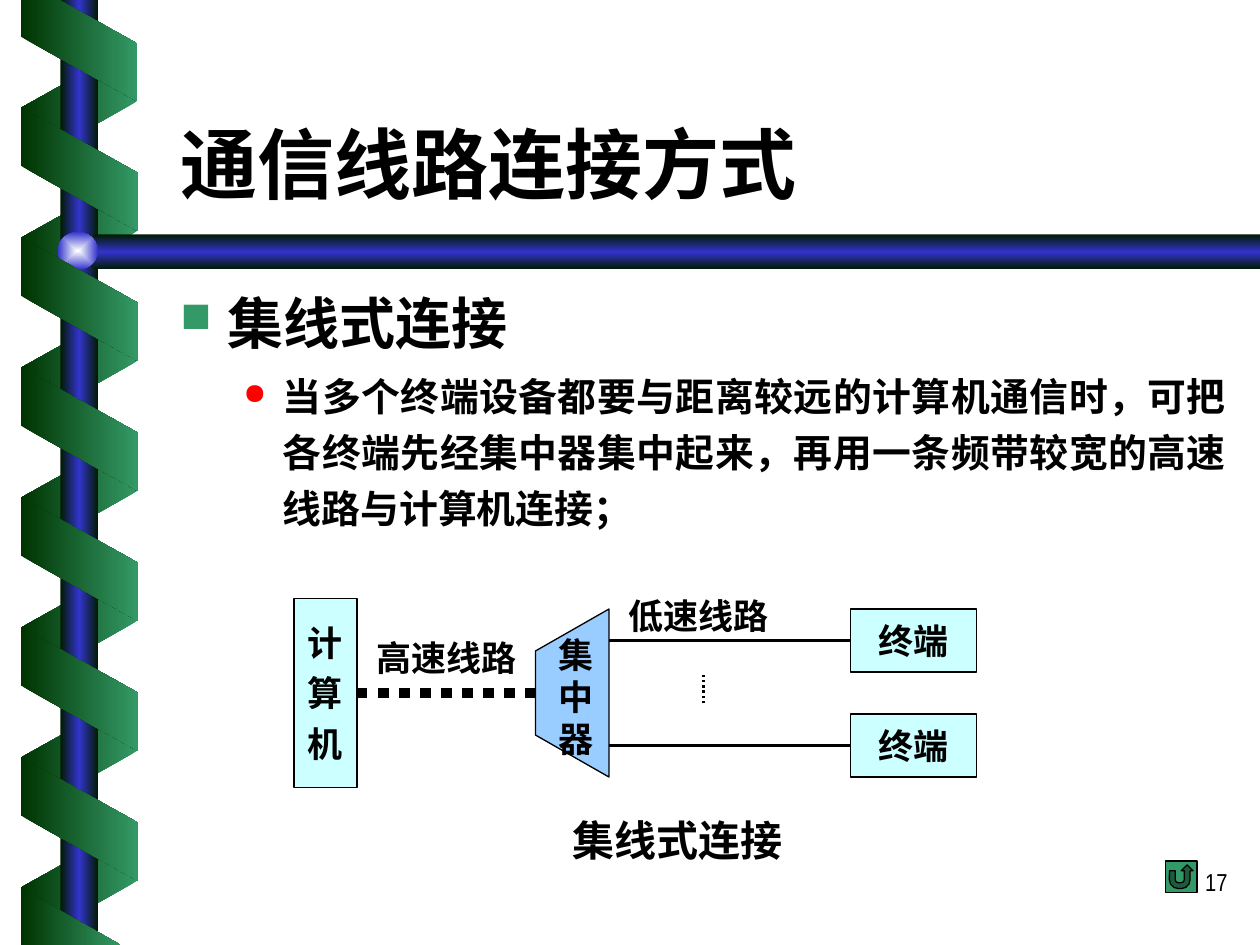
"""Build the slide on concentrated line connections."""
from pptx import Presentation
from pptx import util as u
from pptx.dml.color import RGBColor
from pptx.enum import dml, shapes, text
from pptx.oxml import parse_xml
from pptx.oxml.ns import nsdecls, qn

Pt = u.Pt
COLORS = {
    "text": "000000", "leaf": "339966", "forest": "003300", "night": "001A00",
    "blue": "3333CC", "shine": "FEFFFF", "device": "CCFFFF", "hub": "99CCFF",
    "dot": "FF0000",
}
ACROSS, DOWN = '<a:lin ang="0"/>', '<a:lin ang="5400000"/>'
CENTER = '<a:path path="rect"><a:fillToRect l="50000" t="50000" r="50000" b="50000"/></a:path>'
TUBE = ("night", "blue", "night")
RIBBON = ("forest", "leaf")
RIBBON_PITCH = 74.25
CENTERED = {"alignment": text.PP_ALIGN.CENTER}


def rgb(name):
    """Return the named colour."""
    return RGBColor.from_string(COLORS[name])


def finish(shape, fill, direction=None):
    """Fill plainly with an outline, or with an evenly spaced gradient and none."""
    shape.shadow.inherit = False
    if direction is None:
        shape.fill.solid()
        shape.fill.fore_color.rgb = rgb(fill)
        shape.line.color.rgb = rgb("text")
        shape.line.width = Pt(0.75)
        return shape
    step = 100000 // (len(fill) - 1)
    stops = "".join(
        f'<a:gs pos="{i * step}"><a:srgbClr val="{COLORS[name]}"/></a:gs>'
        for i, name in enumerate(fill))
    shape._element.spPr.insert(2, parse_xml(
        f'<a:gradFill {nsdecls("a")} rotWithShape="1">'
        f'<a:gsLst>{stops}</a:gsLst>{direction}</a:gradFill>'))
    shape.line.fill.background()
    return shape


def add_preset(slide, kind, box, fill, direction=None):
    """Add a preset shape."""
    shape = slide.shapes.add_shape(kind, *map(Pt, box))
    return finish(shape, fill, direction)


def add_outline(slide, points, fill, direction=None):
    """Add a closed polygon."""
    start, *rest = [(Pt(x), Pt(y)) for x, y in points]
    builder = slide.shapes.build_freeform(*start)
    builder.add_line_segments(rest, close=True)
    return finish(builder.convert_to_shape(), fill, direction)


def add_ribbon(slide, top, front):
    """Add one slanted turn of the ribbon."""
    turn = add_preset(slide, shapes.MSO_SHAPE.PARALLELOGRAM, (10, top, 70.6, 66.6),
                      RIBBON if front else RIBBON[::-1], DOWN)
    turn.adjustments[0] = 0.56
    turn.rotation = 270 if front else 90
    if not front:
        turn._element.spPr.xfrm.set("flipH", "1")


def set_bullet(paragraph, char, color, left, hanging):
    """Give a paragraph a coloured bullet at three quarters of the text size."""
    props = paragraph._p.get_or_add_pPr()
    props.set("marL", str(Pt(left)))
    props.set("indent", str(-Pt(hanging)))
    for xml in (f'<a:buClr {nsdecls("a")}><a:srgbClr val="{COLORS[color]}"/></a:buClr>',
                f'<a:buSzPct {nsdecls("a")} val="75000"/>',
                f'<a:buChar {nsdecls("a")} char="{char}"/>'):
        props.append(parse_xml(xml))


def write(shape, lines, size, layout=None, bullet=None, wrap=True,
          anchor=text.MSO_ANCHOR.TOP, gap=0, **changes):
    """Write the lines into a shape, one paragraph each."""
    frame = shape.text_frame
    frame.word_wrap, frame.vertical_anchor = wrap, anchor
    style = {"name": "Times New Roman", "size": Pt(size), "bold": True, **changes}
    for i, line in enumerate(lines):
        paragraph = frame.add_paragraph() if i else frame.paragraphs[0]
        if bullet:
            set_bullet(paragraph, *bullet)
        spacing = {"space_before": Pt(gap)} if i and gap else {}
        for name, value in {**(layout or {}), **spacing}.items():
            setattr(paragraph, name, value)
        run = paragraph.add_run()
        run.text = line
        for name, value in style.items():
            setattr(run.font, name, value)
        run.font.color.rgb = rgb("text")


def add_label(slide, box, lines, size, **options):
    """Add a text box."""
    write(slide.shapes.add_textbox(*map(Pt, box)), lines, size, **options)


def add_device(slide, box, lines):
    """Add a labelled device box."""
    device = add_preset(slide, shapes.MSO_SHAPE.RECTANGLE, box, "device")
    write(device, lines, 20, layout=CENTERED, wrap=False,
          anchor=text.MSO_ANCHOR.MIDDLE, gap=5)
    return device


def add_line(slide, start, end, width=1.5, dotted=False):
    """Add a straight black line."""
    line = slide.shapes.add_connector(
        shapes.MSO_CONNECTOR.STRAIGHT, *map(Pt, start + end))
    line.line.color.rgb = rgb("text")
    line.line.width = Pt(width)
    if dotted:
        line.line.dash_style = dml.MSO_LINE.ROUND_DOT
    line._element.spPr.append(line._element.makeelement(qn("a:effectLst"), {}))
    return line


def add_decoration(slide):
    """Draw the post and bar with the ribbon wound around the post."""
    for turn in range(7):
        add_ribbon(slide, 26.4 + turn * RIBBON_PITCH, front=False)
    add_preset(slide, shapes.MSO_SHAPE.RECTANGLE, (34.5, 0, 21.6, 540), TUBE, ACROSS)
    add_outline(slide, [(720, 134), (54.7, 134), (43.2, 144), (54.7, 154), (720, 154)],
                TUBE, DOWN)
    add_preset(slide, shapes.MSO_SHAPE.OVAL, (33, 132.5, 23, 21.6),
               ("shine", "blue"), CENTER)
    for turn in range(6):
        add_ribbon(slide, 63.4 + turn * RIBBON_PITCH, front=True)
    add_outline(slide, [(12, 0), (12, 21), (78.5, 58), (78.5, 25), (34, 0)],
                RIBBON, ACROSS)
    add_outline(slide, [(69, 540), (12, 507.5), (12, 540)], RIBBON, ACROSS)


def add_diagram(slide):
    """Draw the computer, the concentrator and the terminals."""
    computer = add_device(slide, (168, 342, 36, 108), "计算机")
    trunk = add_line(slide, (204, 396), (306, 396), 6, dotted=True)
    trunk.begin_connect(computer, 3)
    add_label(slide, (204, 360, 102, 32), ["高速线路"], 20, layout=CENTERED)
    add_line(slide, (402, 402), (402, 384), dotted=True)
    for top in (348, 408):
        terminal = add_device(slide, (486, top, 72, 36), ["终端"])
        branch = add_line(slide, (348, top + 18), (486, top + 18))
        branch.end_connect(terminal, 1)
    add_outline(slide, [(348, 348), (306, 372), (306, 420), (348, 444)], "hub")
    add_label(slide, (312, 358.5, 42, 79), "集中器", 20)
    add_label(slide, (348, 336, 102, 32), ["低速线路"], 20, layout=CENTERED)
    add_label(slide, (294, 462, 186, 36), ["集线式连接"], 24, layout=CENTERED)


def main():
    """Build and save the slide."""
    deck = Presentation()
    deck.slide_width, deck.slide_height = Pt(720), Pt(540)
    slide = deck.slides.add_slide(deck.slide_layouts[6])
    add_decoration(slide)
    add_label(slide, (558.7, 491.8, 149.8, 36), ["17"], 14, name="Arial Narrow",
              bold=False, layout={"alignment": text.PP_ALIGN.RIGHT})
    add_label(slide, (96, 33, 612, 90), ["通信线路连接方式"], 44,
              anchor=text.MSO_ANCHOR.BOTTOM)
    add_label(slide, (96, 161.5, 612, 54.5), ["集线式连接"], 32,
              bullet=("■", "leaf", 27, 27))
    add_label(slide, (96, 204, 612, 108),
              ["当多个终端设备都要与距离较远的计算机通信时，可把各终端先经集中器"
               "集中起来，再用一条频带较宽的高速线路与计算机连接；"], 22.2,
              layout={"alignment": text.PP_ALIGN.JUSTIFY, "line_spacing": 1.2},
              bullet=("●", "dot", 58.5, 22.5))
    add_preset(slide, shapes.MSO_SHAPE.ACTION_BUTTON_RETURN, (666, 492, 18, 18), "leaf")
    add_diagram(slide)
    deck.save("out.pptx")


if __name__ == "__main__":
    main()
